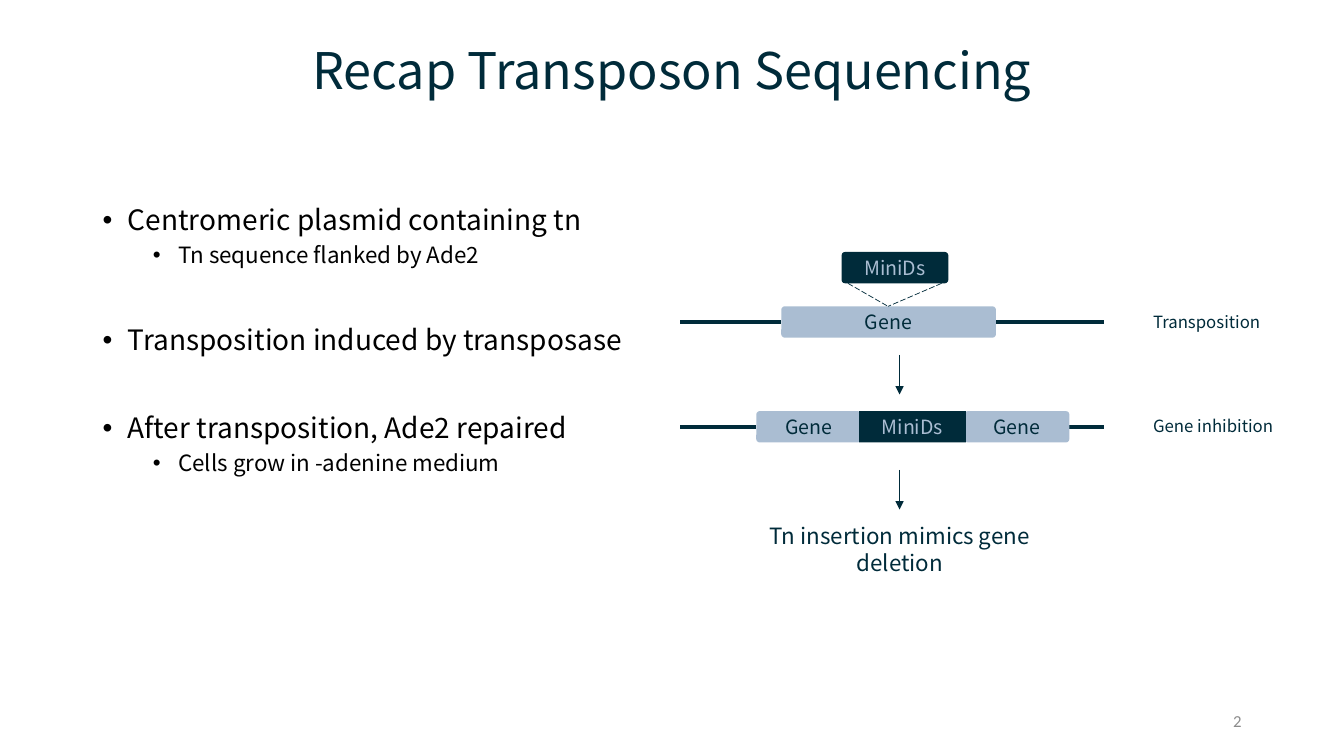
from lxml.etree import SubElement
from pptx import Presentation
from pptx.dml.color import RGBColor
from pptx.enum.dml import MSO_LINE
from pptx.enum.shapes import MSO_CONNECTOR, MSO_SHAPE
from pptx.enum.text import MSO_ANCHOR, MSO_AUTO_SIZE, PP_ALIGN
from pptx.oxml.ns import qn
from pptx.util import Cm, Pt

NAVY = RGBColor(0x00, 0x2B, 0x3A)
PALE = RGBColor(0xAA, 0xBD, 0xD2)
GREY = RGBColor(0x8C, 0x8C, 0x8C)
BLACK = RGBColor(0x00, 0x00, 0x00)
FACE = "Noto Sans CJK JP"
HIGH = 0.79
POINTS = [
    ("Centromeric plasmid containing tn", 0, 0),
    ("Tn sequence flanked by Ade2", 1, 5),
    ("Transposition induced by transposase", 0, 41.5),
    ("After transposition, Ade2 repaired", 0, 41.5),
    ("Cells grow in -adenine medium", 1, 5),
]


def apply(item, values):
    for key, value in values.items():
        setattr(item, key, value)


def place(item, box):
    apply(item, dict(zip(("left", "top", "width", "height"), map(Cm, box))))


def style(para, size, color, face=FACE, **values):
    apply(para, values)
    apply(para.font, {"size": Pt(size), "name": face, "bold": False})
    para.font.color.rgb = color


def write(shape, text, size, color, face=FACE, align=PP_ALIGN.LEFT, anchor=MSO_ANCHOR.TOP):
    frame = shape.text_frame
    apply(frame, {"word_wrap": True, "auto_size": MSO_AUTO_SIZE.NONE,
                  "vertical_anchor": anchor, "text": text})
    style(frame.paragraphs[0], size, color, face, alignment=align)


def label(slide, box, *args, **values):
    write(slide.shapes.add_textbox(*map(Cm, box)), *args, **values)


def block(slide, box, text, fill, color, round=0.11):
    shape = slide.shapes.add_shape(MSO_SHAPE.ROUNDED_RECTANGLE, *map(Cm, box))
    shape.adjustments[0] = round
    shape.shadow.inherit = False
    shape.fill.solid()
    shape.fill.fore_color.rgb = fill
    shape.line.fill.background()
    write(shape, text, 14, color, align=PP_ALIGN.CENTER, anchor=MSO_ANCHOR.MIDDLE)


def link(slide, ends, width, dash=None, arrow=False):
    line = slide.shapes.add_connector(MSO_CONNECTOR.STRAIGHT, *map(Cm, ends))
    line.line.color.rgb = NAVY
    apply(line.line, {"width": Pt(width), "dash_style": dash})
    if arrow:
        SubElement(line.line._get_or_add_ln(), qn("a:tailEnd"), type="triangle")
    SubElement(line._element.spPr, qn("a:effectLst"))


def heading(slide, box):
    title = slide.shapes.title
    place(title, box)
    write(title, "Recap Transposon Sequencing", 36, NAVY,
          align=PP_ALIGN.CENTER, anchor=MSO_ANCHOR.MIDDLE)
    title.text_frame.paragraphs[0].line_spacing = 0.9


def bullets(slide, box):
    body = slide.placeholders[1]
    place(body, box)
    frame = body.text_frame
    apply(frame, {"word_wrap": True, "auto_size": MSO_AUTO_SIZE.NONE,
                  "text": "\n".join(text for text, level, gap in POINTS)})
    for para, (text, level, gap) in zip(frame.paragraphs, POINTS):
        props = para._p.get_or_add_pPr()
        props.set("marL", str(Cm(0.64 + 1.27 * level)))
        props.set("indent", str(-Cm(0.64)))
        SubElement(props, qn("a:buChar"), char="•")
        style(para, 20 - 4 * level, BLACK, level=level,
              line_spacing=0.9, space_before=Pt(gap))


def scheme(slide, box):
    left, top, width, height = box
    rows = [
        (top + 1.37, 2.54, 7.95, "Transposition"),
        (top + 4.01, 1.91, 9.8, "Gene inhibition"),
    ]
    for y, start, end, text in rows:
        mid = y + 0.4
        link(slide, (left, mid, left + start, mid), 3)
        link(slide, (left + end, mid, left + 10.67, mid), 3)
        label(slide, (left + 11.66, y, width - 11.66, 0.76), text, 12, NAVY)

    upper, lower = rows[0][0], rows[1][0]
    block(slide, (left + 2.54, upper, 5.41, HIGH), "Gene", PALE, NAVY)
    block(slide, (left + 4.06, top, 2.69, HIGH), "MiniDs", NAVY, PALE)
    for x in (4.22, 6.58):
        link(slide, (left + x, top + HIGH, left + 5.23, upper), 0.5, MSO_LINE.LONG_DASH)

    for x in (1.91, 7.16):
        block(slide, (left + x, lower, 2.64, HIGH), "Gene", PALE, NAVY)
    block(slide, (left + 4.5, lower, 2.69, HIGH), "MiniDs", NAVY, PALE, 0)

    for y in (2.59, 5.49):
        link(slide, (left + 5.52, top + y, left + 5.52, top + y + 1), 0.5, arrow=True)
    label(slide, (left + 1.65, top + 6.68, 7.75, height - 6.68),
          "Tn insertion mimics gene deletion", 16, NAVY, align=PP_ALIGN.CENTER)


def number(slide, box):
    label(slide, box, "2", 12, GREY, "Calibri",
          align=PP_ALIGN.RIGHT, anchor=MSO_ANCHOR.MIDDLE)


def main():
    deck = Presentation()
    apply(deck, {"slide_width": Cm(33.87), "slide_height": Cm(19.05)})
    slide = deck.slides.add_slide(deck.slide_layouts[1])
    heading(slide, (0, 0, 33.87, 3.68))
    number(slide, (23.92, 17.66, 7.62, 1.01))
    bullets(slide, (2.33, 5.08, 29.21, 12.09))
    scheme(slide, (17.15, 6.35, 15.85, 8.31))
    deck.save("out.pptx")


if __name__ == "__main__":
    main()
